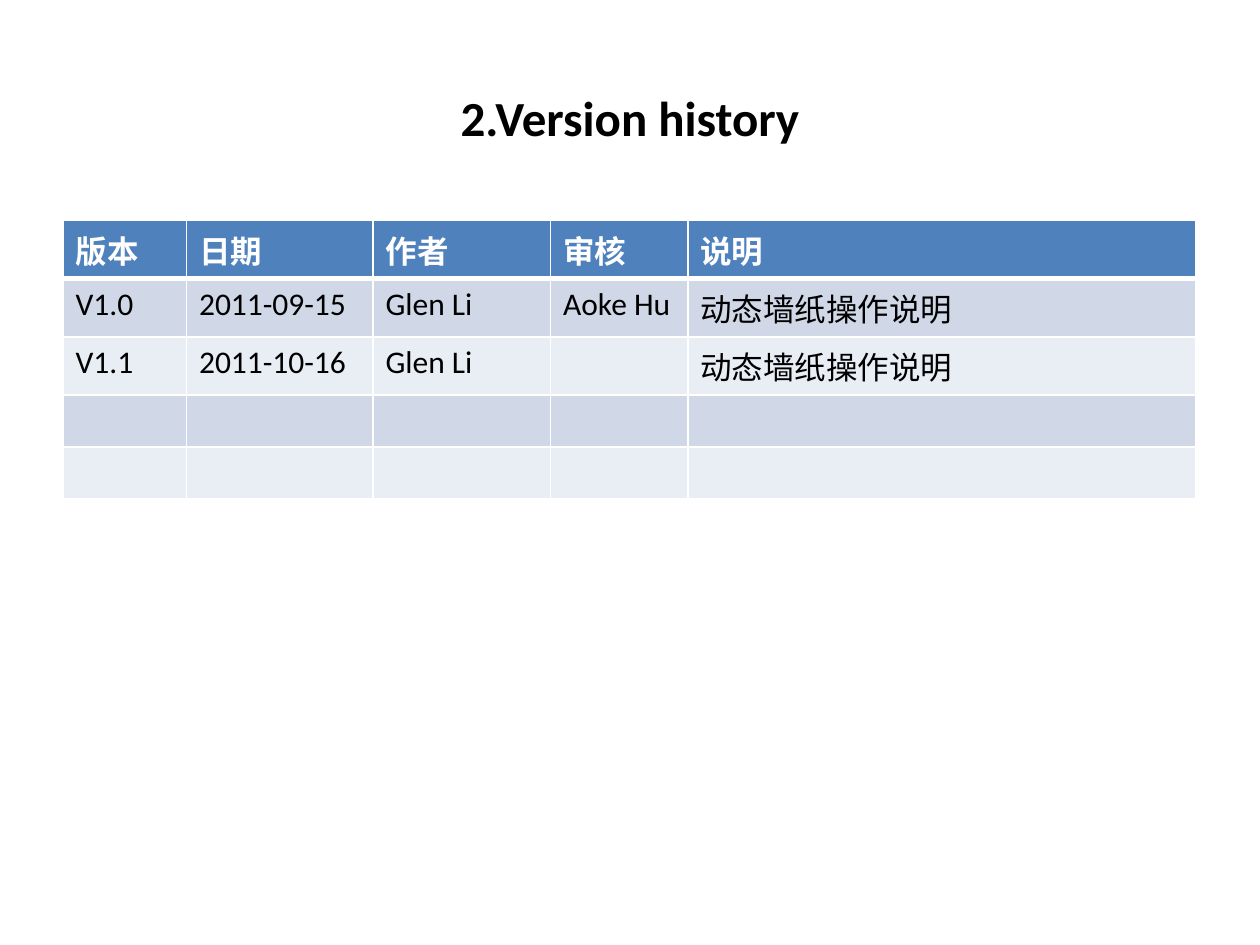
from lxml.etree import SubElement
from pptx import Presentation
from pptx.dml.color import RGBColor
from pptx.enum.text import MSO_ANCHOR, PP_ALIGN
from pptx.oxml.ns import qn
from pptx.util import Inches, Pt

WHITE = RGBColor(0xFF, 0xFF, 0xFF)
BLACK = RGBColor(0x00, 0x00, 0x00)
HEADER = RGBColor(0x4F, 0x81, 0xBD)
BANDS = (RGBColor(0xD0, 0xD8, 0xE8), RGBColor(0xE9, 0xED, 0xF4))

COLUMNS = (0.98, 1.48, 1.41, 1.09, 4.03)
ROW_HEIGHT = 0.41
VERSIONS = (
    ("版本", "日期", "作者", "审核", "说明"),
    ("V1.0", "2011-09-15", "Glen Li", "Aoke Hu", "动态墙纸操作说明"),
    ("V1.1", "2011-10-16", "Glen Li", "", "动态墙纸操作说明"),
    ("",) * 5,
    ("",) * 5,
)


class SlideBuilder:
    font = "Calibri"
    title_size = 28
    body_size = 18

    def __init__(self, prs):
        self.s = prs.slides.add_slide(prs.slide_layouts[5])

    def format_text(self, tf, size, color, bold):
        for p in tf.paragraphs:
            for r in p.runs:
                r.font.name = self.font
                r.font.size = Pt(size)
                r.font.bold = bold
                r.font.color.rgb = color

    def title(self, text, left, top, width, height):
        sp = self.s.shapes.title
        sp.left, sp.top = Inches(left), Inches(top)
        sp.width, sp.height = Inches(width), Inches(height)
        tf = sp.text_frame
        tf.text = text
        tf.vertical_anchor = MSO_ANCHOR.MIDDLE
        tf.paragraphs[0].alignment = PP_ALIGN.CENTER
        self.format_text(tf, self.title_size, BLACK, True)

    def border(self, cell, side, width):
        tc_pr = cell._tc.get_or_add_tcPr()
        line = SubElement(tc_pr, qn(f"a:ln{side}"), w=str(Pt(width)))
        fill = SubElement(line, qn("a:solidFill"))
        SubElement(fill, qn("a:srgbClr"), val=str(WHITE))

    def cell(self, cell, text, row):
        is_header = row == 0
        for side in "LRTB":
            thick = (is_header and side == "B") or (row == 1 and side == "T")
            self.border(cell, side, 3 if thick else 1)
        cell.fill.solid()
        cell.fill.fore_color.rgb = HEADER if is_header else BANDS[(row - 1) % 2]
        cell.text_frame.text = text
        self.format_text(cell.text_frame, self.body_size,
                         WHITE if is_header else BLACK, is_header)

    def table(self, rows, columns, left, top, row_height):
        table = self.s.shapes.add_table(
            len(rows), len(columns), Inches(left), Inches(top),
            Inches(sum(columns)), Inches(row_height * len(rows))).table
        for column, width in zip(table.columns, columns):
            column.width = Inches(width)
        for i, values in enumerate(rows):
            table.rows[i].height = Inches(row_height)
            for j, text in enumerate(values):
                self.cell(table.cell(i, j), text, i)


def main():
    prs = Presentation()
    prs.slide_width, prs.slide_height = Inches(10), Inches(7.5)
    slide = SlideBuilder(prs)
    slide.title("2.Version history", 0.5, 0.3, 9, 1.25)
    slide.table(VERSIONS, COLUMNS, 0.5, 1.75, ROW_HEIGHT)
    prs.save("out.pptx")


if __name__ == "__main__":
    main()
